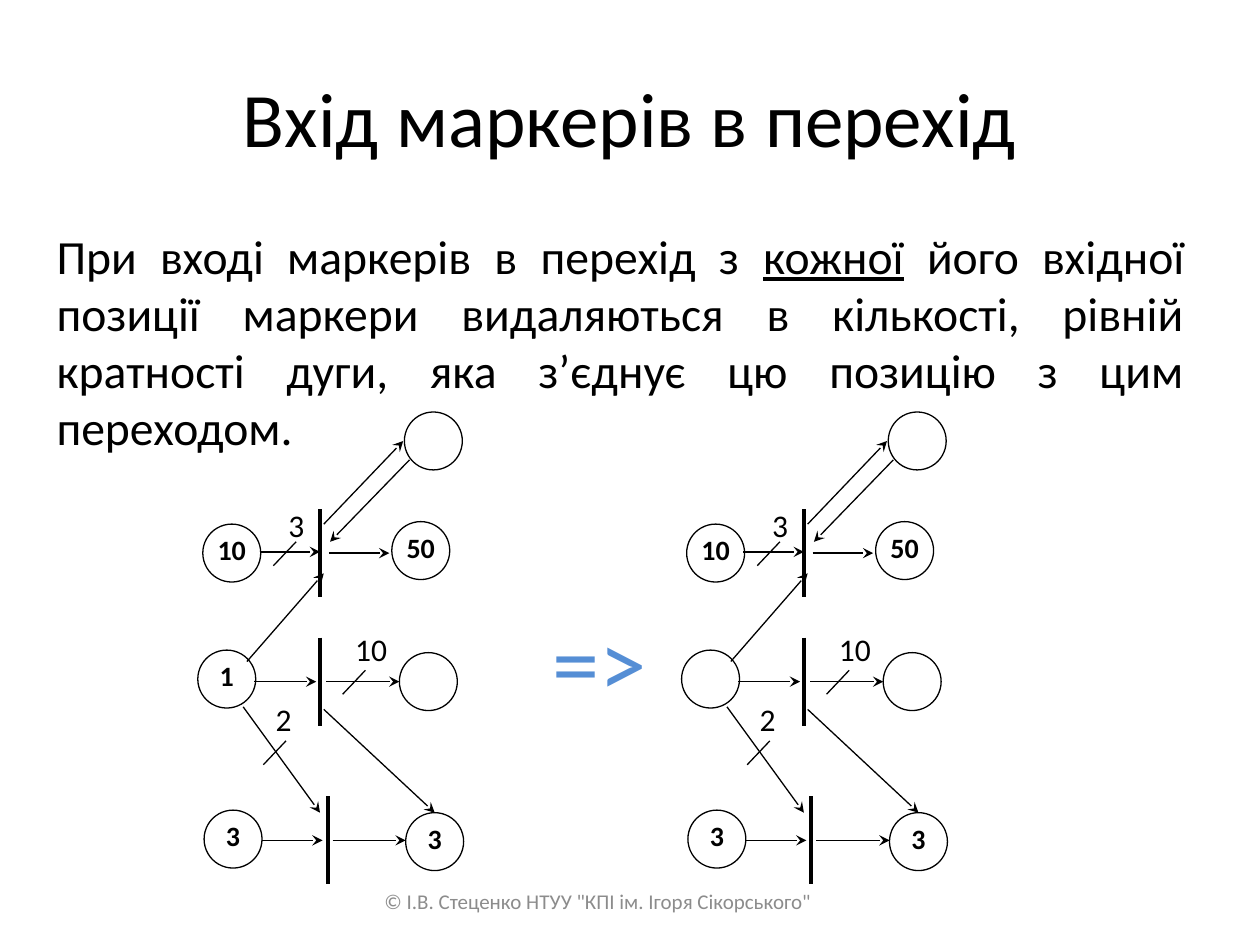
from dataclasses import dataclass

from lxml import etree
from pptx import Presentation
from pptx.dml.color import RGBColor
from pptx.enum.shapes import MSO_CONNECTOR, MSO_SHAPE
from pptx.enum.text import MSO_ANCHOR, PP_ALIGN
from pptx.oxml.ns import qn
from pptx.util import Inches, Pt

LINE, OVAL = MSO_CONNECTOR.STRAIGHT, MSO_SHAPE.OVAL
TOP, MIDDLE = MSO_ANCHOR.TOP, MSO_ANCHOR.MIDDLE
LEFT, CENTER, JUSTIFY = PP_ALIGN.LEFT, PP_ALIGN.CENTER, PP_ALIGN.JUSTIFY


@dataclass(frozen=True)
class Theme:
    font: str = "Calibri"
    ink: RGBColor = RGBColor(0, 0, 0)
    paper: RGBColor = RGBColor(255, 255, 255)
    accent: RGBColor = RGBColor(0x55, 0x8E, 0xD5)
    muted: RGBColor = RGBColor(0x8C, 0x8C, 0x8C)
    title: float = 44
    body: float = 27.2
    implies: float = 54
    weight: float = 18
    tokens: float = 16
    footer: float = 12
    thin: float = 0.75
    thick: float = 2.25


T = Theme()

# Net geometry in inches, relative to the net's top left corner
DIAMETER, BAR = 0.46, 0.7
PLACES = {  # name: left, top
    "source": (0.04, 0.89), "shared": (0, 1.89), "lower": (0.05, 3.16),
    "loop": (1.64, 0), "sink": (1.54, 0.87),
    "middle": (1.6, 1.91), "bottom": (1.65, 3.18),
}
TRANSITIONS = [(0.97, 0.77), (0.97, 1.79), (1.03, 3.05)]
ARCS = [  # from x, y, to x, y
    (0.49, 1.11, 0.97, 1.11), (1.04, 1.12, 1.52, 1.12),
    (1, 0.89, 1.63, 0.23), (1.68, 0.38, 1.05, 1.03),
    (0.39, 1.98, 1, 1.28), (0.45, 2.14, 0.94, 2.14),
    (1.02, 2.14, 1.6, 2.14), (0.36, 2.34, 0.97, 3.18),
    (1, 2.36, 1.88, 3.18), (0.51, 3.4, 0.99, 3.4),
    (1.07, 3.4, 1.65, 3.4),
]
WEIGHTS = [  # text, tick x, y, label x, y, label width
    ("3", 0.78, 1.03, 0.62, 0.7, 0.33),
    ("10", 1.33, 2.05, 1.15, 1.68, 0.46),
    ("2", 0.7, 2.61, 0.52, 2.24, 0.33),
]
BEFORE = {"source": "10", "shared": "1", "lower": "3", "sink": "50", "bottom": "3"}
AFTER = {name: n for name, n in BEFORE.items() if name != "shared"}


def add_run(p, text, size, color=T.ink, bold=False, underline=False):
    r = p.add_run()
    r.text = text
    f = r.font
    f.name, f.size, f.bold, f.underline = T.font, Pt(size), bold, underline
    f.color.rgb = color


def add_text(shapes, box, align=LEFT, anchor=TOP, wrap=True):
    """Add a text box and return its first paragraph."""
    tf = shapes.add_textbox(*map(Inches, box)).text_frame
    tf.word_wrap, tf.vertical_anchor = wrap, anchor
    p = tf.paragraphs[0]
    p.alignment = align
    return p


def add_line(shapes, x1, y1, x2, y2, width=T.thin, arrow=False):
    c = shapes.add_connector(LINE, *map(Inches, (x1, y1, x2, y2)))
    c.line.color.rgb, c.line.width = T.ink, Pt(width)
    if arrow:
        etree.SubElement(c.line._get_or_add_ln(), qn("a:tailEnd"), type="stealth")
    etree.SubElement(c._element.spPr, qn("a:effectLst"))


def add_place(shapes, x, y, tokens):
    sp = shapes.add_shape(OVAL, *map(Inches, (x, y, DIAMETER, DIAMETER)))
    sp.shadow.inherit = False
    sp.fill.solid()
    sp.fill.fore_color.rgb = T.paper
    sp.line.color.rgb, sp.line.width = T.ink, Pt(T.thin)
    if tokens:
        tf = sp.text_frame
        tf.margin_left = tf.margin_right = tf.margin_top = tf.margin_bottom = 0
        tf.vertical_anchor = TOP
        p = tf.paragraphs[0]
        p.alignment = CENTER
        add_run(p, tokens, T.tokens, bold=True)


def add_net(s, left, top, marking):
    """Draw the Petri net with its tokens as one group."""
    shapes = s.shapes.add_group_shape().shapes
    for name, (x, y) in PLACES.items():
        add_place(shapes, left + x, top + y, marking.get(name))
    for x1, y1, x2, y2 in ARCS:
        add_line(shapes, left + x1, top + y1, left + x2, top + y2, arrow=True)
    for x, y in TRANSITIONS:
        add_line(shapes, left + x, top + y, left + x, top + y + BAR, T.thick)
    # Arc multiplicities: a tick across the arc and its number
    for text, x, y, lx, ly, w in WEIGHTS:
        x, y = left + x, top + y
        add_line(shapes, x, y, x - 0.18, y + 0.19)
        p = add_text(shapes, (left + lx, top + ly, w, 0.4), wrap=False)
        add_run(p, text, T.weight)


def add_title(s, box):
    sp = s.shapes.title
    sp.left, sp.top, sp.width, sp.height = map(Inches, box)
    sp.text_frame.vertical_anchor = MIDDLE
    p = sp.text_frame.paragraphs[0]
    p.alignment = CENTER
    add_run(p, "Вхід маркерів в перехід", T.title)


def add_rule(s, box):
    p = add_text(s.shapes, box, JUSTIFY)
    p.space_before = Pt(T.body * 0.2)
    add_run(p, "При вході маркерів в перехід з ", T.body)
    add_run(p, "кожної", T.body, underline=True)
    add_run(p, " його вхідної позиції маркери видаляються в кількості, рівній "
               "кратності дуги, яка з’єднує цю позицію з цим переходом.", T.body)


def add_implies(s, box):
    add_run(add_text(s.shapes, box), "=>", T.implies, T.accent)


def add_footer(s, box):
    p = add_text(s.shapes, box, CENTER, MIDDLE)
    add_run(p, '© І.В. Стеценко НТУУ "КПІ ім. Ігоря Сікорського"', T.footer, T.muted)


def main():
    prs = Presentation()
    prs.slide_width, prs.slide_height = Inches(10), Inches(7.5)
    s = prs.slides.add_slide(prs.slide_layouts[5])
    add_title(s, (0.5, 0.3, 9, 1.25))
    add_rule(s, (0.35, 1.75, 9.15, 1.69))
    # Marking before and after the tokens enter the transitions
    add_net(s, 1.57, 3.27, BEFORE)
    add_net(s, 5.41, 3.27, AFTER)
    add_implies(s, (4.29, 4.74, 0.96, 1.01))
    add_footer(s, (2.9, 6.95, 3.69, 0.4))
    prs.save("out.pptx")


if __name__ == "__main__":
    main()
